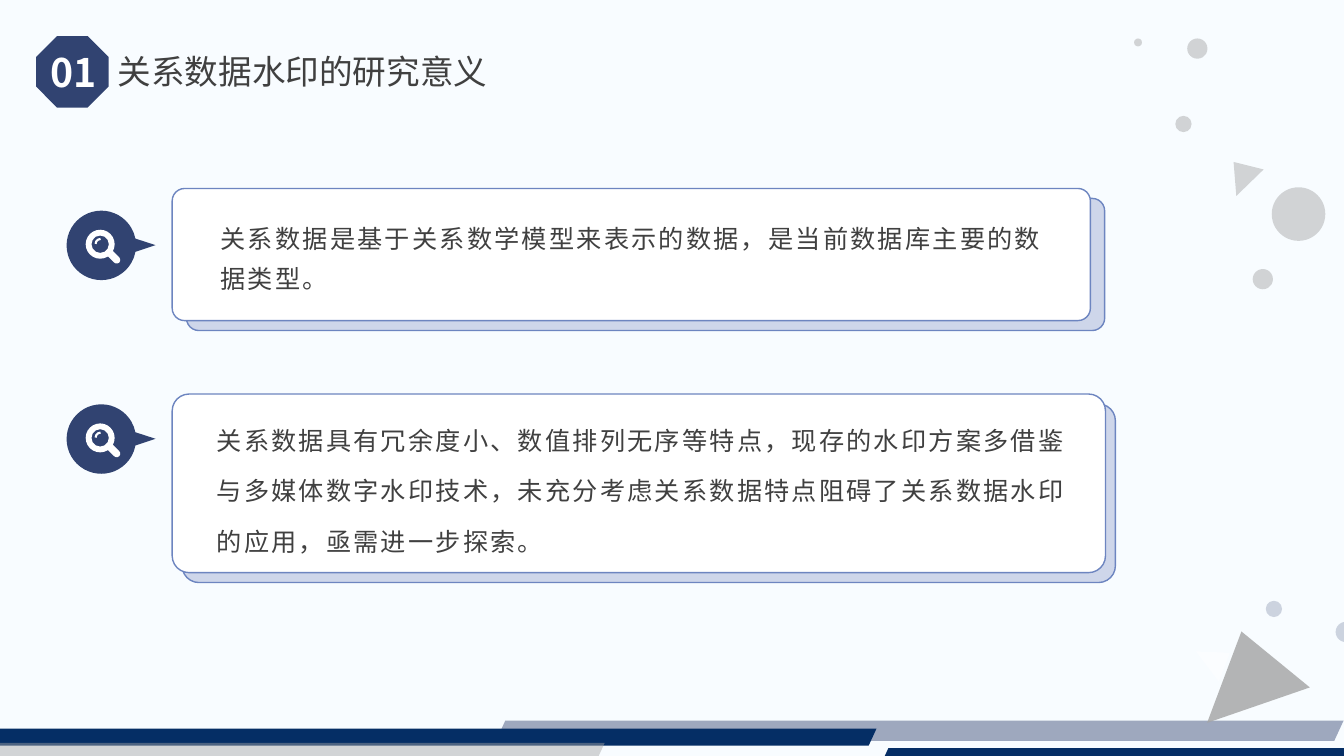
from lxml import etree
from pptx import Presentation
from pptx import util as u
from pptx.dml.color import RGBColor
from pptx.enum import shapes as shp, text as txt
from pptx.oxml.ns import qn

FONT = "Noto Sans CJK SC"
NAVY, DEEP_BLUE, OUTLINE, CARD_SHADE = "314371", "052E65", "6D85C0", "CED6EA"
WHITE, INK, GREY, MID_GREY = "FFFFFF", "404040", "7F7F7F", "A5A5A5"
KIND = shp.MSO_SHAPE


def colour(value):
    return RGBColor.from_string(value)


def add_figure(slide, kind, box, fill=None, line=None, line_width=1,
               opacity=100, adjust=(), rotation=0):
    """Add a preset shape; box is left, top, width, height in cm."""
    figure = slide.shapes.add_shape(kind, *map(u.Cm, box))
    figure.shadow.inherit = False
    figure.rotation = rotation
    for index, value in enumerate(adjust):
        figure.adjustments[index] = value
    if fill:
        figure.fill.solid()
        figure.fill.fore_color.rgb = colour(fill)
        if opacity < 100:
            tint = figure.fill._xPr.find(".//" + qn("a:srgbClr"))
            etree.SubElement(tint, qn("a:alpha")).set("val", str(opacity * 1000))
    else:
        figure.fill.background()
    if line:
        figure.line.color.rgb = colour(line)
        figure.line.width = u.Pt(line_width)
    else:
        figure.line.fill.background()
    return figure


def add_text(slide, box, lines, size, ink=INK, bold=False, align=None,
             line_spacing=None, space_before=None, tracking=0, indent=0):
    frame = slide.shapes.add_textbox(*map(u.Cm, box)).text_frame
    frame.word_wrap = True
    frame.auto_size = txt.MSO_AUTO_SIZE.SHAPE_TO_FIT_TEXT
    if tracking:
        frame.margin_left = frame.margin_right = u.Cm(0.2)
        frame.margin_top = frame.margin_bottom = u.Cm(0.1)
    frame.text = "\n".join(lines)
    for paragraph in frame.paragraphs:
        paragraph.alignment = align
        paragraph.line_spacing = line_spacing
        paragraph.space_before = space_before
        font = paragraph.font
        font.name, font.size, font.bold = FONT, u.Pt(size), bold
        font.color.rgb = colour(ink)
        properties = paragraph._p.pPr
        if indent:
            properties.set("marL", str(u.Cm(indent)))
        defaults = properties.find(qn("a:defRPr"))
        etree.SubElement(defaults, qn("a:ea")).set("typeface", FONT)
        if tracking:
            defaults.set("spc", str(round(tracking * 100)))


def add_bar(slide, box, fill, opacity=100):
    add_figure(slide, KIND.PARALLELOGRAM, box, fill, opacity=opacity, adjust=[0.46])


def add_dot(slide, left, top, size, fill, opacity):
    add_figure(slide, KIND.OVAL, (left, top, size, size), fill, opacity=opacity)


def add_triangle(slide, box, rotation, fill, opacity):
    add_figure(slide, KIND.ISOSCELES_TRIANGLE, box, fill, opacity=opacity,
               adjust=[0.29], rotation=rotation)


def add_card(slide, top, width, height, shade_offset):
    left = 4.34
    dx, dy = shade_offset
    for x, y, fill in ((left + dx, top + dy, CARD_SHADE), (left, top, WHITE)):
        add_figure(slide, KIND.ROUNDED_RECTANGLE, (x, y, width, height), fill,
                   OUTLINE, adjust=[0.094])


def add_search_marker(slide, top):
    left = 1.68
    add_figure(slide, KIND.OVAL_CALLOUT, (left, top, 1.75, 1.75), NAVY,
               adjust=[0.781, -0.004])
    # Magnifier: lens, handle and glint
    add_figure(slide, KIND.DONUT, (left + 0.48, top + 0.48, 0.73, 0.73), WHITE,
               adjust=[0.2])
    add_figure(slide, KIND.ROUNDED_RECTANGLE, (left + 0.95, top + 1.06, 0.44, 0.18),
               WHITE, adjust=[0.5], rotation=45)
    add_figure(slide, KIND.ARC, (left + 0.73, top + 0.71, 0.25, 0.25),
               line=WHITE, line_width=1.5, rotation=270)


def add_decoration(slide):
    # Footer bars
    add_bar(slide, (22.28, 18.85, 12.93, 0.24), DEEP_BLUE)
    add_bar(slide, (12.5, 18.16, 21.36, 0.51), NAVY, 45)
    add_bar(slide, (-1.68, 18.36, 23.77, 0.43), DEEP_BLUE)
    add_bar(slide, (-6.12, 18.72, 21.36, 0.51), MID_GREY, 45)
    # Lower right cluster
    add_triangle(slide, (30.61, 16.38, 2.46, 2.11), 110.6, MID_GREY, 82)
    add_triangle(slide, (30.12, 16.43, 0.86, 0.74), 182.5, WHITE, 55)
    for dot in ((33.66, 15.67, 0.51), (31.9, 15.14, 0.41)):
        add_dot(slide, *dot, NAVY, 22)
    # Upper right cluster
    add_triangle(slide, (31.06, 4.11, 0.86, 0.74), 85.4, GREY, 32)
    for dot in ((32.05, 4.72, 1.35), (29.92, 0.97, 0.51), (28.58, 0.97, 0.2),
                (29.62, 2.92, 0.41), (31.57, 6.78, 0.51)):
        add_dot(slide, *dot, GREY, 32)


def main():
    deck = Presentation()
    deck.slide_width, deck.slide_height = u.Cm(33.87), u.Cm(19.05)
    slide = deck.slides.add_slide(deck.slide_layouts[6])
    slide.background.fill.solid()
    slide.background.fill.fore_color.rgb = colour("F8FCFF")
    add_decoration(slide)

    # Heading
    add_figure(slide, KIND.OCTAGON, (0.91, 0.91, 1.83, 1.8), NAVY)
    add_text(slide, (0.97, 1.09, 1.75, 1.45), ["01"], 28, WHITE, bold=True,
             align=txt.PP_ALIGN.CENTER)
    add_text(slide, (2.72, 1.17, 10.54, 1.27), ["关系数据水印的研究意义"], 24)

    # Statement cards
    body = dict(size=18, line_spacing=1.3, space_before=u.Pt(8), tracking=1.6)
    add_card(slide, 4.75, 23.14, 3.33, (0.36, 0.25))
    add_text(slide, (5.26, 5.31, 21.59, 2.21),
             ["关系数据是基于关系数学模型来表示的数据，是当前数据库主要的数据类型。"],
             indent=0.1, **body)
    add_card(slide, 9.93, 23.52, 4.5, (0.25, 0.25))
    add_text(slide, (5.26, 10.39, 23.37, 3.76),
             ["关系数据具有冗余度小、数值排列无序等特点，现存的水印方案多借鉴",
              "与多媒体数字水印技术，未充分考虑关系数据特点阻碍了关系数据水印",
              "的应用，亟需进一步探索。"], **body)
    for top in (5.31, 10.19):
        add_search_marker(slide, top)

    deck.save("out.pptx")


if __name__ == "__main__":
    main()
